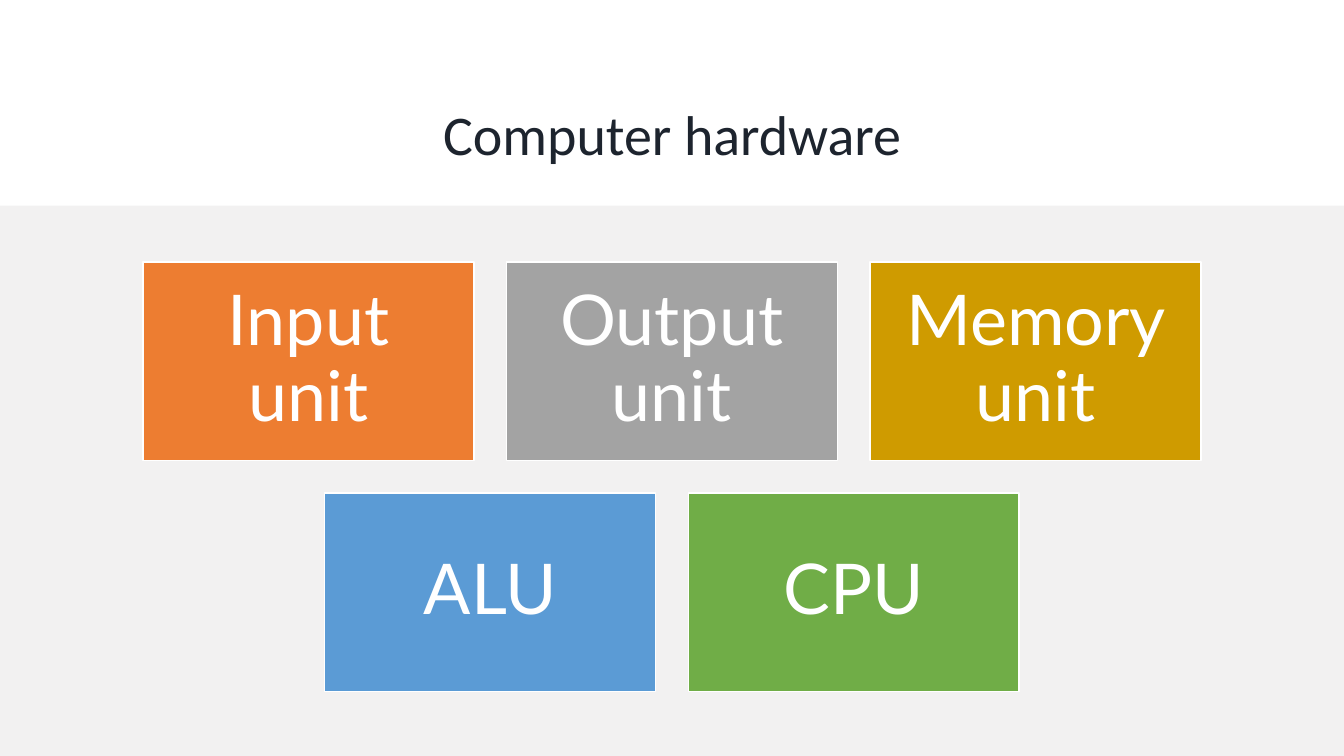
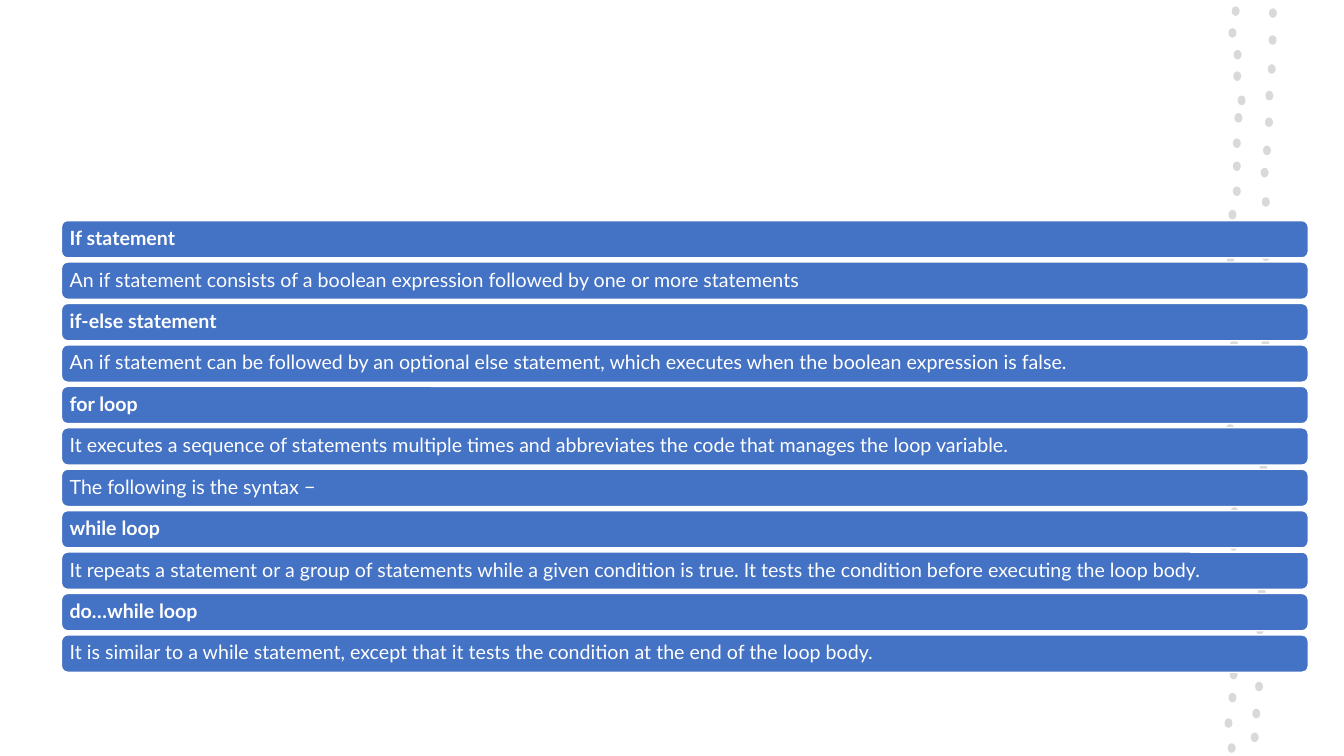
from pptx import Presentation
from pptx.dml.color import RGBColor
from pptx.enum.shapes import MSO_SHAPE as Kind
from pptx.enum.text import MSO_ANCHOR as Anchor, PP_ALIGN as Align
from pptx.util import Cm, Pt

# Shared sizes (cm), colours and fonts
WIDE, HIGH = 33.87, 19.05
WHITE, INK, BAND, DOT, BLUE = "FFFFFF", "1D242E", "F2F1F1", "DBD8D8", "4472C4"
HEAD, BODY = "Calibri", "Lato"

# Rows of unit tiles: name and fill
UNITS = [
    [("Input unit", "ED7D31"), ("Output unit", "A3A3A3"), ("Memory unit", "CF9B00")],
    [("ALU", "5B9BD5"), ("CPU", "70AD47")],
]

# Statements: name, then the lines that explain it
TERMS = [
    ("If statement",
     "An if statement consists of a boolean expression followed by one or more statements"),
    ("if-else statement",
     "An if statement can be followed by an optional else statement, "
     "which executes when the boolean expression is false."),
    ("for loop",
     "It executes a sequence of statements multiple times and abbreviates "
     "the code that manages the loop variable.",
     "The following is the syntax \u2212"),
    ("while loop",
     "It repeats a statement or a group of statements while a given condition is true. "
     "It tests the condition before executing the loop body."),
    ("do\u2026while loop",
     "It is similar to a while statement, except that it tests the condition "
     "at the end of the loop body."),
]

# Centres of the dots in the two wavy columns
DOTS = [
    (31.14, 0.28), (31.06, 0.83), (31.19, 1.38), (31.18, 1.92), (31.29, 2.53),
    (31.21, 2.97), (31.17, 3.61), (31.17, 4.19), (31.17, 4.82), (31.06, 5.41),
    (31.01, 6.6), (31.1, 8.68), (31, 10.8), (31.11, 12.9), (31.09, 13.76),
    (31.14, 15.07), (31.09, 17), (31.06, 17.58), (30.96, 18.22), (31.04, 18.85),
    (32.08, 0.33), (32.07, 1.01), (32.05, 1.74), (31.99, 2.41), (31.98, 3.08),
    (31.93, 3.79), (31.87, 4.35), (31.9, 5.09), (31.9, 6.46), (31.89, 8.66),
    (31.84, 11.79), (31.8, 14.94), (31.75, 15.87), (31.73, 17.3), (31.66, 17.98),
    (31.62, 18.58),
]


def rgb(code):
    return RGBColor.from_string(code)


def write(frame, text, size=14, font=BODY, color=WHITE, bold=False,
          align=Align.LEFT, space=0.9, inset=0.16):
    frame.word_wrap = True
    frame.vertical_anchor = Anchor.MIDDLE
    frame.margin_left = frame.margin_right = Cm(inset)
    frame.margin_top = frame.margin_bottom = Cm(inset)
    par = frame.paragraphs[0]
    par.alignment, par.line_spacing = align, space
    run = par.add_run()
    run.text = text
    run.font.size, run.font.name, run.font.bold = Pt(size), font, bold
    run.font.color.rgb = rgb(color)


def shape(slide, kind, left, top, width, height, fill, line=None):
    item = slide.shapes.add_shape(kind, Cm(left), Cm(top), Cm(width), Cm(height))
    item.shadow.inherit = False
    item.fill.solid()
    item.fill.fore_color.rgb = rgb(fill)
    if line:
        item.line.color.rgb = rgb(line)
        item.line.width = Pt(1)
    else:
        item.line.fill.background()
    return item


def title(slide, text):
    head = slide.shapes.title
    head.left, head.top, head.width, head.height = Cm(3.96), Cm(1.96), Cm(25.96), Cm(2.77)
    write(head.text_frame, text, size=40, font=HEAD, color=INK,
          align=Align.CENTER, space=1.0)


def tiles(slide, rows):
    width, height, step, drop = 8.34, 5, 9.16, 5.82
    for r, row in enumerate(rows):
        left = (WIDE - width - step * (len(row) - 1)) / 2
        for c, (name, fill) in enumerate(row):
            tile = shape(slide, Kind.RECTANGLE, left + c * step, 6.6 + r * drop,
                         width, height, fill, WHITE)
            write(tile.text_frame, name, size=50, align=Align.CENTER, inset=0.53)


def dots(slide):
    width, height = 0.2, 0.24
    for x, y in DOTS:
        shape(slide, Kind.OVAL, x - width / 2, y - height / 2, width, height, DOT)


def bars(slide, terms):
    lines = [(text, i == 0) for term in terms for i, text in enumerate(term)]
    first, last = 5.56, 16
    step = (last - first) / (len(lines) - 1)
    for n, (text, bold) in enumerate(lines):
        bar = shape(slide, Kind.ROUNDED_RECTANGLE, 1.55, first + n * step,
                    31.42, 0.94, BLUE, WHITE)
        write(bar.text_frame, text, bold=bold)


def main():
    deck = Presentation()
    deck.slide_width, deck.slide_height = Cm(WIDE), Cm(HIGH)

    # Hardware units
    units = deck.slides.add_slide(deck.slide_layouts[5])
    title(units, "Computer hardware")
    shape(units, Kind.RECTANGLE, 0, 5.18, WIDE, HIGH - 5.18, BAND)
    tiles(units, UNITS)

    # Statements and loops
    flow = deck.slides.add_slide(deck.slide_layouts[6])
    dots(flow)
    bars(flow, TERMS)

    deck.save("out.pptx")


main()
